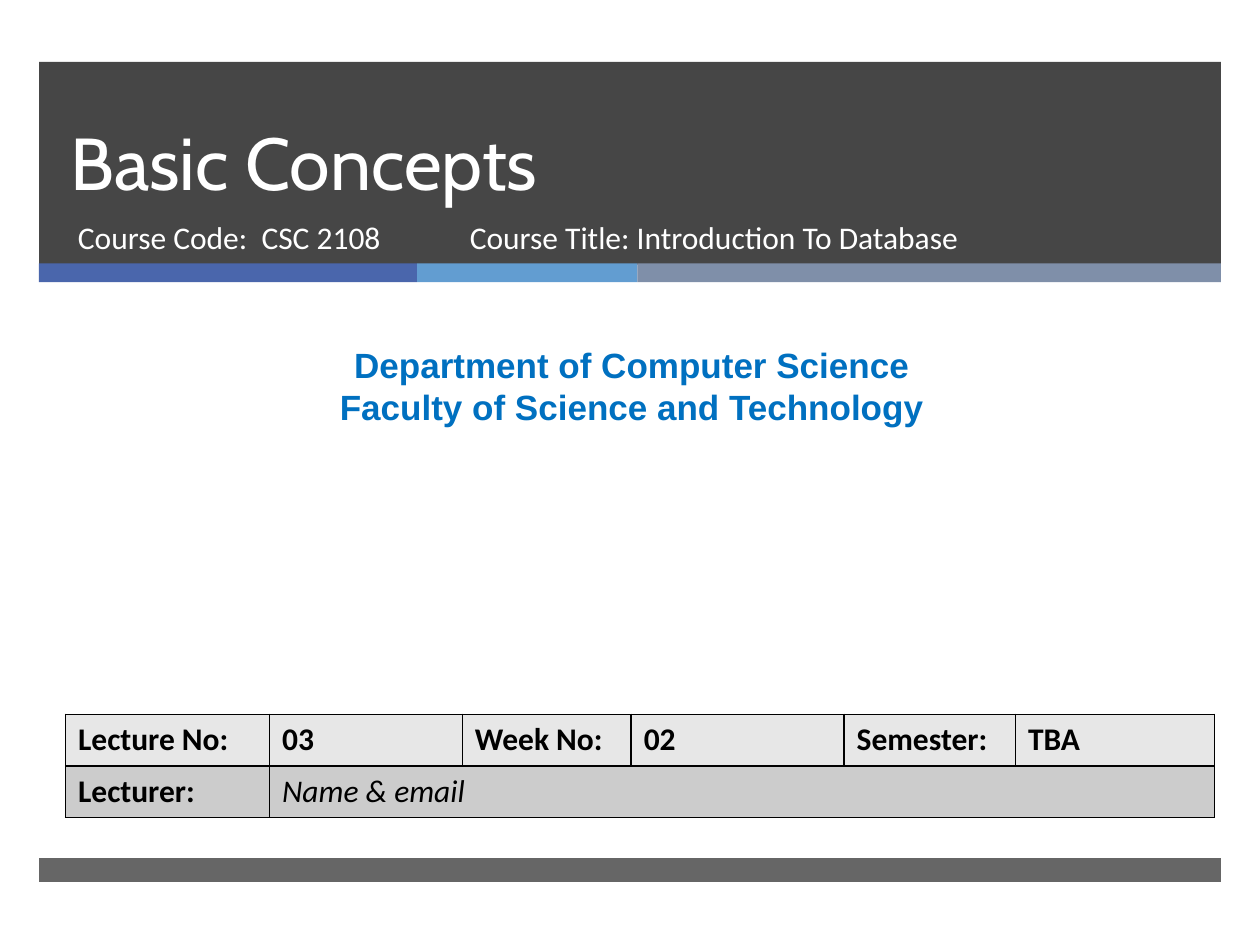
from itertools import product

from lxml import etree
from pptx import Presentation
from pptx import util as u
from pptx.dml import color
from pptx.enum import shapes, text
from pptx.oxml import ns

WHITE, BLACK, DARK, BLUE = "FFFFFF", "000000", "262626", "0070C0"


def rgb(hex_code):
    return color.RGBColor.from_string(hex_code)


class SlideBuilder:
    """Holds the body style and the slide being filled."""

    font = "Calibri"
    size = 18

    def __init__(self, slide):
        self.slide = slide

    def bar(self, left, top, width, height, fill, opacity=100):
        bar = self.slide.shapes.add_shape(
            shapes.MSO_SHAPE.RECTANGLE,
            *map(u.Inches, (left, top, width, height)))
        bar.shadow.inherit = False
        bar.line.fill.background()
        bar.fill.solid()
        bar.fill.fore_color.rgb = rgb(fill)
        if opacity < 100:
            tint = bar.fill._xPr.find(".//" + ns.qn("a:srgbClr"))
            etree.SubElement(tint, ns.qn("a:alpha"), val=str(opacity * 1000))

    def run(self, paragraph, words, ink, size=None, font=None,
            bold=False, italic=False):
        run = paragraph.add_run()
        run.text = words
        run.font.name = font or self.font
        run.font.size = u.Pt(size or self.size)
        run.font.bold = bold
        run.font.italic = italic
        run.font.color.rgb = rgb(ink)

    def text(self, left, top, width, height, lines, ink=WHITE,
             align=text.PP_ALIGN.LEFT, anchor=text.MSO_ANCHOR.TOP,
             spacing=None, **style):
        box = self.slide.shapes.add_textbox(
            *map(u.Inches, (left, top, width, height)))
        frame = box.text_frame
        frame.word_wrap = True
        frame.vertical_anchor = anchor
        for index, line in enumerate(lines):
            paragraph = frame.add_paragraph() if index else frame.paragraphs[0]
            paragraph.alignment = align
            if spacing:
                paragraph.line_spacing = u.Pt(spacing)
            self.run(paragraph, line, ink, **style)

    def cell_borders(self, cell, ink=BLACK, width=1):
        properties = cell._tc.get_or_add_tcPr()
        for index, side in enumerate(("lnL", "lnR", "lnT", "lnB")):
            border = etree.Element(ns.qn("a:" + side), w=str(u.Pt(width)))
            fill = etree.SubElement(border, ns.qn("a:solidFill"))
            etree.SubElement(fill, ns.qn("a:srgbClr"), val=ink)
            properties.insert(index, border)

    def table(self, left, top, columns, row_height, rows, fills):
        """Draw a bordered table; each row is a list of (words, font style)."""
        table = self.slide.shapes.add_table(
            len(rows), len(columns), u.Inches(left), u.Inches(top),
            u.Inches(sum(columns)), u.Inches(row_height * len(rows))).table
        for column, width in zip(table.columns, columns):
            column.width = u.Inches(width)
        for row in table.rows:
            row.height = u.Inches(row_height)
        for r, c in product(range(len(rows)), range(len(columns))):
            cell = table.cell(r, c)
            cell.fill.solid()
            cell.fill.fore_color.rgb = rgb(fills[r])
            self.cell_borders(cell)
            if c < len(rows[r]):
                words, style = rows[r][c]
                self.run(cell.text_frame.paragraphs[0], words, BLACK, **style)
        for r, row in enumerate(rows):
            if len(row) < len(columns):
                table.cell(r, len(row) - 1).merge(
                    table.cell(r, len(columns) - 1))


def main():
    deck = Presentation()
    deck.slide_width, deck.slide_height = u.Inches(10), u.Inches(7.5)
    cover = SlideBuilder(deck.slides.add_slide(deck.slide_layouts[6]))

    margin, band_width = 0.31, 9.38
    cover.bar(margin, 0.49, band_width, 1.61, DARK, opacity=85)
    stripe_left = margin
    for width, fill in ((3, "4A66AC"), (1.75, "629DD1"), (4.63, "7F8FA9")):
        cover.bar(stripe_left, 2.09, width, 0.15, fill)
        stripe_left += width
    cover.bar(margin, 6.81, band_width, 0.19, DARK, opacity=70)

    cover.text(0.46, 0.49, 8.54, 1.19, ["Basic Concepts"], size=42,
               font="Cabin", anchor=text.MSO_ANCHOR.BOTTOM, spacing=46)
    cover.text(0.52, 1.68, 3.05, 0.53, ["Course Code:  CSC 2108"])
    cover.text(3.63, 1.68, 4.55, 0.53,
               ["Course Title: Introduction To Database"])
    cover.text(0.08, 2.68, 9.87, 0.77,
               ["Department of Computer Science",
                "Faculty of Science and Technology"],
               ink=BLUE, align=text.PP_ALIGN.CENTER,
               size=20, font="Arial", bold=True)

    label, entry = {"bold": True}, {"italic": True}
    lecture = [(words, label) for words in (
        "Lecture No:", "03", "Week No:", "02", "Semester:", "TBA")]
    lecturer = [("Lecturer:", label), ("Name & email", entry)]
    cover.table(0.52, 5.67, (1.62, 1.53, 1.34, 1.69, 1.36, 1.58), 0.41,
                [lecture, lecturer], ("E7E7E7", "CCCCCC"))

    deck.save("out.pptx")


if __name__ == "__main__":
    main()
